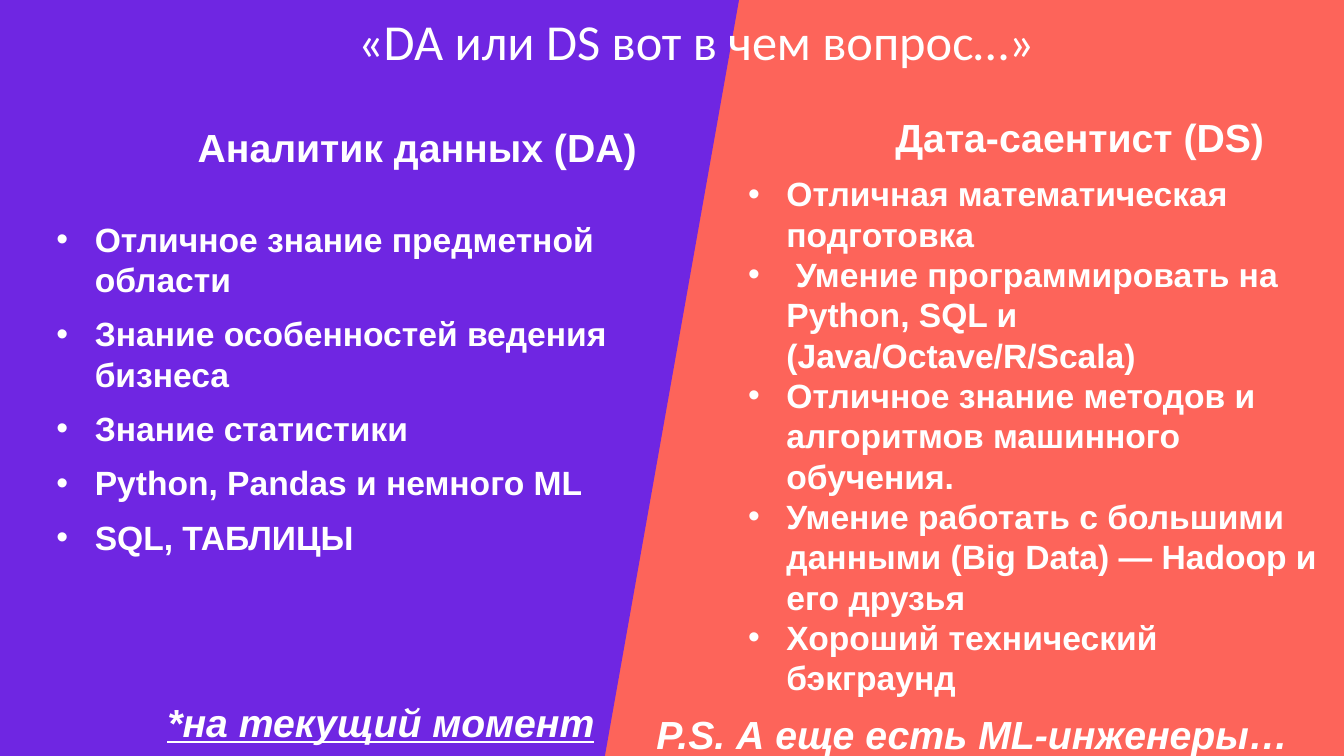
from dataclasses import dataclass, field

from lxml.etree import SubElement
from pptx import Presentation
from pptx.dml.color import RGBColor
from pptx.enum.shapes import MSO_SHAPE
from pptx.enum.text import MSO_AUTO_SIZE
from pptx.oxml.ns import qn
from pptx.util import Emu, Pt

PX = 9144  # 100 px to the inch
WIDTH, HEIGHT = 1333, 750
WHITE, CORAL, VIOLET = "FFFFFF", "FD645A", "6F26E2"
INDENT = 38

HEADING = {"name": "Arial", "size": Pt(28), "bold": True}
ITEM = {"name": "Arial", "size": Pt(24), "bold": True}
NOTE = HEADING | {"italic": True}
TITLE = {"name": "Calibri", "size": Pt(36)}


@dataclass
class TextBlock:
    box: tuple[int, int, int, int]
    lines: list[str]
    font: dict
    bullets: bool = False
    gap: int = 0
    margins: tuple[int, int, int, int] = (0, 5, 10, 5)
    spacing: dict = field(default_factory=dict)


BLOCKS = [
    TextBlock((355, 17, 1156, 55), ["«DA или DS вот в чем вопрос…»"], TITLE,
              margins=(0, 0, 0, 0), spacing={"line_spacing": 0.9}),
    TextBlock((56, 212, 582, 472), [
        "Отличное знание предметной области",
        "Знание особенностей ведения бизнеса",
        "Знание статистики",
        "Python, Pandas и немного ML",
        "SQL, ТАБЛИЦЫ",
    ], ITEM, bullets=True, gap=10),
    TextBlock((742, 167, 582, 414), [
        "Отличная математическая подготовка",
        " Умение программировать на Python, SQL и (Java/Octave/R/Scala)",
        "Отличное знание методов и алгоритмов машинного обучения.",
        "Умение работать с большими данными (Big Data) — Hadoop и его друзья",
        "Хороший технический бэкграунд",
    ], ITEM, bullets=True),
    TextBlock((196, 117, 575, 57), ["Аналитик данных (DA)"], HEADING),
    TextBlock((888, 108, 575, 57), ["Дата-саентист (DS)"], HEADING),
    TextBlock((166, 688, 697, 57), ["*на текущий момент"], NOTE | {"underline": True}),
    TextBlock((651, 700, 682, 57), ["P.S. А еще есть ML-инженеры…"], NOTE),
]


def px(n: int) -> Emu:
    return Emu(n * PX)


def rgb(value: str) -> RGBColor:
    return RGBColor.from_string(value)


def set_all(target, values: dict) -> None:
    for name, value in values.items():
        setattr(target, name, value)


def paint(sp, color: str) -> None:
    sp.shadow.inherit = False
    sp.fill.solid()
    sp.fill.fore_color.rgb = rgb(color)
    sp.line.fill.background()


def add_bullet(p) -> None:
    pPr = p._p.get_or_add_pPr()
    pPr.set("marL", str(px(INDENT)))
    pPr.set("indent", str(-px(INDENT)))
    color = SubElement(pPr, qn("a:buClr"))
    SubElement(color, qn("a:srgbClr"), val=WHITE)
    SubElement(pPr, qn("a:buFont"), typeface="Arial")
    SubElement(pPr, qn("a:buChar"), char="•")


def add_text(s, block: TextBlock) -> None:
    tf = s.shapes.add_textbox(*map(px, block.box)).text_frame
    sides = ("margin_left", "margin_top", "margin_right", "margin_bottom")
    set_all(tf, dict(zip(sides, map(px, block.margins))))
    set_all(tf, {"word_wrap": True, "auto_size": MSO_AUTO_SIZE.SHAPE_TO_FIT_TEXT})
    for i, line in enumerate(block.lines):
        p = tf.add_paragraph() if i else tf.paragraphs[0]
        if block.bullets:
            add_bullet(p)
        set_all(p, block.spacing)
        if i:
            p.space_before = Pt(block.gap)
        r = p.add_run()
        r.text = line
        set_all(r.font, block.font)
        r.font.color.rgb = rgb(WHITE)


def main() -> None:
    prs = Presentation()
    prs.slide_width, prs.slide_height = px(WIDTH), px(HEIGHT)
    s = prs.slides.add_slide(prs.slide_layouts[6])

    # Coral backdrop with a slanted violet panel on the left
    paint(s.shapes.add_shape(MSO_SHAPE.RECTANGLE, 0, 0, px(WIDTH), px(HEIGHT)), CORAL)
    panel = s.shapes.build_freeform(0, 0, scale=PX)
    panel.add_line_segments([(733, 0), (600, HEIGHT), (0, HEIGHT)], close=True)
    paint(panel.convert_to_shape(), VIOLET)

    # Title, lists, headings and footnotes
    for block in BLOCKS:
        add_text(s, block)

    prs.save("out.pptx")


if __name__ == "__main__":
    main()
